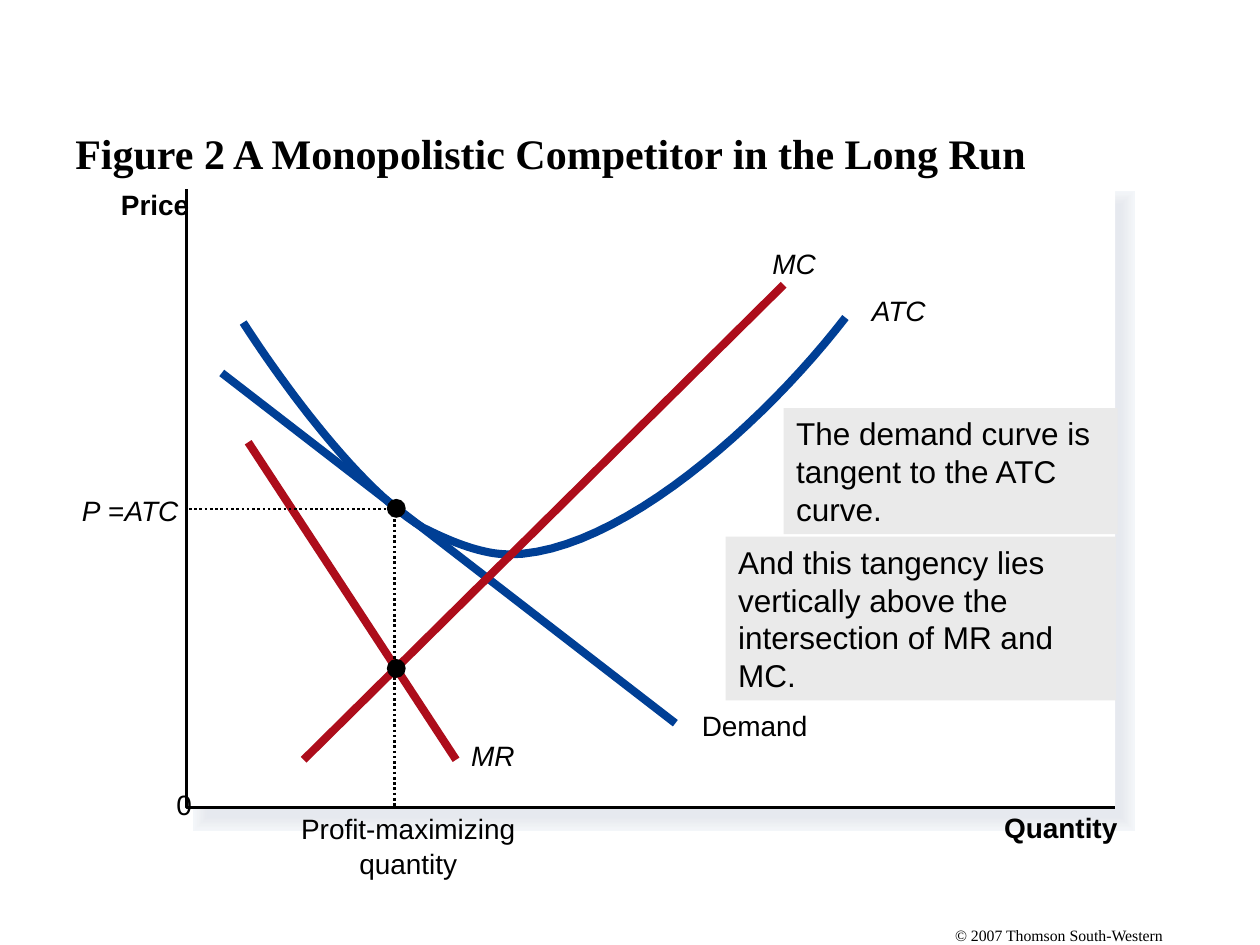
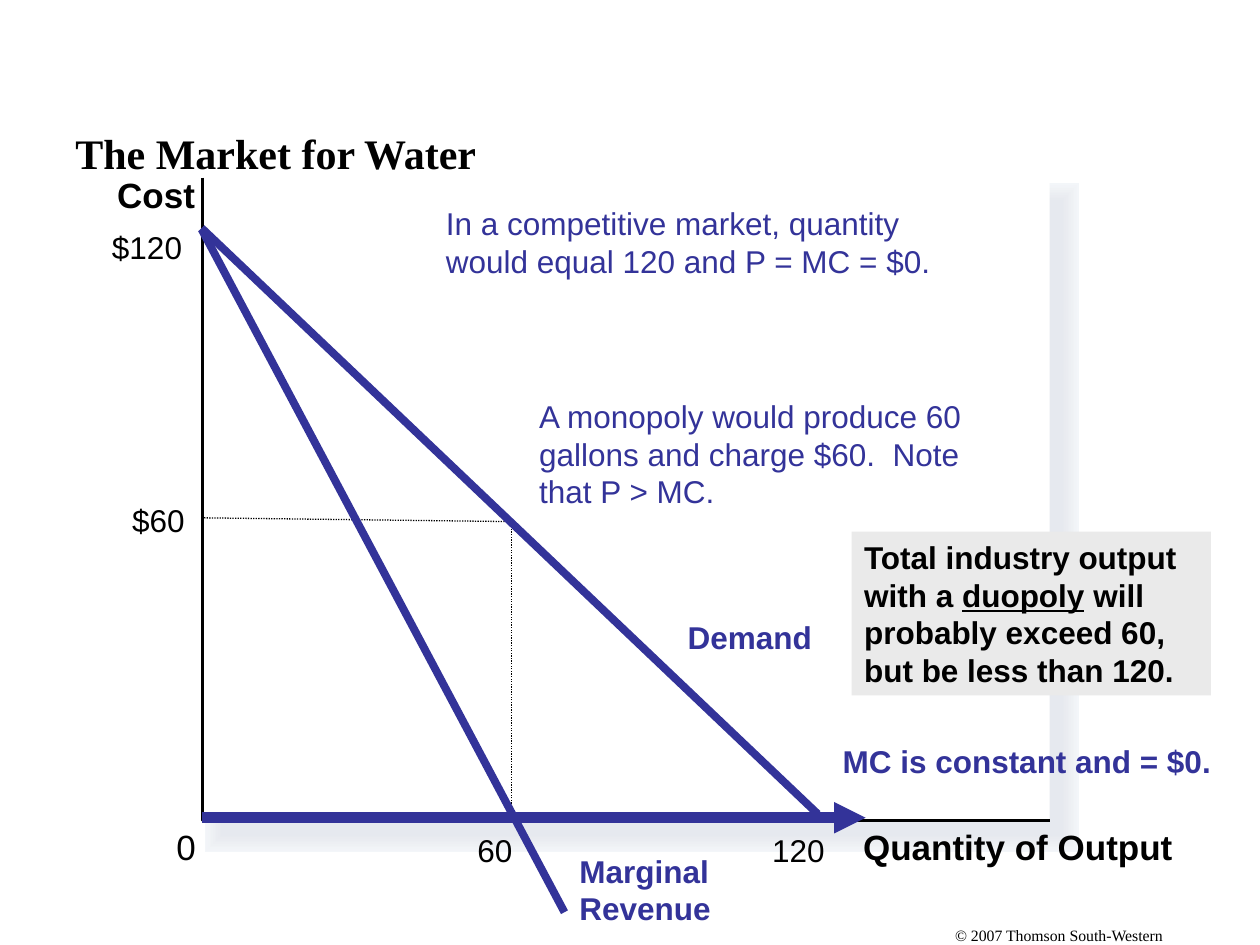
from collections import namedtuple

from lxml.etree import SubElement
from pptx import Presentation
from pptx.dml.color import RGBColor as RGB
from pptx.enum.dml import MSO_LINE as Dash
from pptx.enum.shapes import MSO_CONNECTOR as Connector, MSO_SHAPE as Shape
from pptx.enum.text import MSO_ANCHOR as Anchor, PP_ALIGN as Align
from pptx.oxml.ns import qn
from pptx.util import Inches, Pt

BLACK = RGB(0x00, 0x00, 0x00)
WHITE = RGB(0xFF, 0xFF, 0xFF)
BLUE = RGB(0x00, 0x3F, 0x95)
RED = RGB(0xAD, 0x0D, 0x1B)
INDIGO = RGB(0x33, 0x33, 0x99)
NOTE_GREY = RGB(0xEA, 0xEA, 0xEA)
# Outermost to innermost layer of the soft shadow behind a graph
SHADOW_SHADES = [RGB.from_string(shade) for shade in (
    "F3F6F9 F2F4F8 F1F4F7 F0F2F5 EEF1F4 EDEFF3 "
    "EBEEF2 EAECF1 E9EBF0 E7EAEF E6E9EF").split()]

SANS, SERIF = "Arial", "Times New Roman"
CURVE_STEPS = 24

# All areas and points are in inches, relative to the box they belong to
Box = namedtuple("Box", "left top width height")
PAGE = Box(0, 0, 10, 7.5)


def place(box, x, y):
    return Inches(box.left + x), Inches(box.top + y)


def frame(box, area):
    x, y, width, height = area
    return (*place(box, x, y), Inches(width), Inches(height))


# Text

def write(shape, paragraphs, wrap, inset, align, anchor, color, gap, **font):
    """Each paragraph is a string or a list of (text, run format) pairs."""
    text = shape.text_frame
    settings = {"word_wrap": wrap, "vertical_anchor": anchor}
    if not inset:
        settings |= dict.fromkeys(
            ("margin_left", "margin_top", "margin_right", "margin_bottom"), 0)
    for name, value in settings.items():
        setattr(text, name, value)
    for index, content in enumerate(paragraphs):
        paragraph = text.add_paragraph() if index else text.paragraphs[0]
        paragraph.alignment = align
        if index:
            paragraph.space_before = Pt(gap)
        runs = [(content, {})] if isinstance(content, str) else content
        for words, changes in runs:
            run = paragraph.add_run()
            run.text = words
            run.font.color.rgb = color
            for name, value in (font | changes).items():
                setattr(run.font, name, value)


def label(slide, box, area, *paragraphs, wrap=False, align=Align.LEFT,
          anchor=Anchor.TOP, color=BLACK, gap=0, size=16, name=SANS, **font):
    words = slide.shapes.add_textbox(*frame(box, area))
    write(words, paragraphs, wrap, wrap, align, anchor, color, gap,
          size=Pt(size), name=name, **font)


def note(slide, box, area, *paragraphs, **font):
    panel = filled(slide, Shape.RECTANGLE, box, area, NOTE_GREY)
    write(panel, paragraphs, True, True, Align.LEFT, Anchor.TOP, BLACK, 0,
          size=Pt(18), name=SANS, **font)


# Shapes and lines

def filled(slide, kind, box, area, color, border=0):
    shape = slide.shapes.add_shape(kind, *frame(box, area))
    shape.shadow.inherit = False
    shape.fill.solid()
    shape.fill.fore_color.rgb = color
    if border:
        stroke(shape, color, border)
        SubElement(shape.line._get_or_add_ln(), qn("a:miter"), lim="800000")
    else:
        shape.line.fill.background()
    return shape


def stroke(shape, color, width, dash=None):
    shape.line.color.rgb = color
    shape.line.width = Pt(width)
    if dash:
        shape.line.dash_style = dash


def segment(slide, box, start, end, color, width, dash=None, arrow=False):
    line = slide.shapes.add_connector(
        Connector.STRAIGHT, *place(box, *start), *place(box, *end))
    stroke(line, color, width, dash)
    if arrow:
        SubElement(line.line._get_or_add_ln(), qn("a:tailEnd"), type="triangle")
    SubElement(line._element.spPr, qn("a:effectLst"))


def polyline(slide, box, points, color, width, dash=None):
    start, *others = [place(box, *point) for point in points]
    builder = slide.shapes.build_freeform(*start)
    builder.add_line_segments(others, close=False)
    outline = builder.convert_to_shape()
    outline.shadow.inherit = False
    outline.fill.background()
    stroke(outline, color, width, dash)


def bezier_points(knots):
    """Sample a chain of cubic curves: a start, then three knots per curve."""
    points = [knots[0]]
    for first in range(0, len(knots) - 1, 3):
        curve = knots[first:first + 4]
        for step in range(1, CURVE_STEPS + 1):
            t = step / CURVE_STEPS
            weights = ((1 - t) ** 3, 3 * t * (1 - t) ** 2,
                       3 * t ** 2 * (1 - t), t ** 3)
            points.append(tuple(
                sum(w * knot[axis] for w, knot in zip(weights, curve))
                for axis in (0, 1)))
    return points


# Shared slide parts

def titled_slide(deck, title):
    slide = deck.slides.add_slide(deck.slide_layouts[6])
    label(slide, PAGE, (7.58, 7.35, 1.7, 0.15),
          "© 2007 Thomson South-Western", size=9, name=SERIF)
    label(slide, PAGE, (0.5, 0.58, 9, 1.26), title, wrap=True,
          anchor=Anchor.MIDDLE, size=24, name=SERIF, bold=True)
    return slide


def plot_area(slide, box, shadow, shadow_step, axis_width):
    """White plot with a layered shadow and an L of two axes."""
    for index, shade in enumerate(SHADOW_SHADES):
        border = shadow_step * (len(SHADOW_SHADES) - index)
        filled(slide, Shape.RECTANGLE, box, shadow, shade, border)
    filled(slide, Shape.RECTANGLE, box, (0, 0, box.width, box.height), WHITE)
    axes = [(0, 0), (0, box.height), (box.width, box.height)]
    polyline(slide, box, axes, BLACK, axis_width)


# Slide 1: monopolistic competitor

def competitor_curves(slide, box):
    segment(slide, box, (0.28, 1.46), (3.88, 4.24), BLUE, 4.62)
    segment(slide, box, (0.49, 2.01), (2.14, 4.53), RED, 4.62)
    atc_knots = [(5.23, 1.02), (4.6, 1.84), (3.43, 2.9), (2.56, 2.9),
                 (2.27, 2.9), (1.93, 2.71), (1.88, 2.69),
                 (1.38, 2.39), (0.78, 1.57), (0.45, 1.06)]
    polyline(slide, box, bezier_points(atc_knots), BLUE, 4.62)
    segment(slide, box, (4.74, 0.76), (0.93, 4.53), RED, 4.62)
    label(slide, box, (4.09, 4.12, 0.9, 0.27), "Demand")
    for name, x, y, width in (("MR", 2.26, 4.36, 0.4),
                              ("ATC", 5.44, 0.83, 0.5),
                              ("MC", 4.65, 0.46, 0.4)):
        label(slide, box, (x, y, width, 0.27), name, italic=True)


def competitor_optimum(slide, box):
    guide = [(0.02, 2.54), (1.65, 2.54), (1.65, box.height)]
    polyline(slide, box, guide, BLACK, 1.5, Dash.ROUND_DOT)
    for y in (2.46, 3.73):
        filled(slide, Shape.OVAL, box, (1.59, y, 0.15, 0.15), BLACK)
    label(slide, box, (0.86, 4.94, 1.8, 0.55), "Profit-maximizing", "quantity",
          align=Align.CENTER, gap=1)
    label(slide, box, (-0.83, 2.42, 0.83, 0.27),
          [("P", {"italic": True}), (" =", {}), ("ATC", {"italic": True})])


def competitor_slide(deck):
    slide = titled_slide(
        deck, "Figure 2 A Monopolistic Competitor in the Long Run")
    box = Box(1.48, 1.5, 7.37, 4.91)
    plot_area(slide, box, (0.17, 0.13, 7.24, 4.85), 1.52, 1.5)
    label(slide, box, (6.49, 4.93, 1, 0.27), "Quantity", bold=True)
    label(slide, box, (-0.52, -0.01, 0.65, 0.27), "Price", bold=True)
    label(slide, box, (-0.08, 4.75, 0.16, 0.27), "0")
    competitor_curves(slide, box)
    competitor_optimum(slide, box)
    note(slide, box, (4.74, 1.74, 2.65, 1),
         "The demand curve is tangent to the ATC curve.")
    note(slide, box, (4.28, 2.76, 3.1, 1.3),
         "And this tangency lies vertically above the intersection "
         "of MR and MC.")


# Slide 2: market for water

def water_axis_labels(slide, box):
    for words, x, y, width, bold in (
            ("Quantity of Output", 5.24, 5.14, 2.55, True),
            ("0", -0.21, 5.14, 0.2, False),
            ("Cost", -0.68, -0.03, 0.7, True)):
        label(slide, box, (x, y, width, 0.33), words, size=20, bold=bold)
    for tick, x, y, width in (("$120", -0.82, 0.35, 0.89),
                              ("$60", -0.66, 2.52, 0.89),
                              ("60", 2.08, 5.14, 0.62),
                              ("120", 4.42, 5.14, 0.89)):
        label(slide, box, (x, y, width, 0.4), tick, wrap=True, size=18)


def water_lines(slide, box):
    monopoly = (2.45, 2.73)
    for axis_point in ((2.45, 5.05), (0.01, 2.7)):
        segment(slide, box, axis_point, monopoly, BLACK, 0.75, Dash.ROUND_DOT)
    segment(slide, box, (-0.01, 5.08), (5.26, 5.08), INDIGO, 6, arrow=True)
    segment(slide, box, (-0.01, 0.4), (4.88, 5.05), INDIGO, 4.5)
    segment(slide, box, (-0.01, 0.41), (2.87, 5.83), INDIGO, 4.5)


def water_remarks(slide, box):
    for words, area, bold in (
            ("MC is constant and = $0.", (4.98, 4.43, 3.13, 0.4), True),
            ("Demand", (3.75, 3.45, 1.48, 0.4), True),
            ("Marginal Revenue", (2.89, 5.3, 1.48, 0.7), True),
            ("In a competitive market, quantity would equal 120 "
             "and P = MC = $0.", (1.83, 0.16, 4.32, 0.7), False),
            ("A monopoly would produce 60 gallons and charge $60.  Note "
             "that P > MC.", (2.57, 1.69, 3.89, 1), False)):
        label(slide, box, area, words, wrap=True, color=INDIGO, size=18,
              bold=bold)
    note(slide, box, (5.15, 2.81, 2.85, 1.3),
         [("Total industry output with a ", {}),
          ("duopoly", {"underline": True}),
          (" will probably exceed 60, but be less than 120.", {})], bold=True)


def water_slide(deck):
    slide = titled_slide(deck, "The Market for Water")
    box = Box(1.61, 1.41, 6.72, 5.1)
    plot_area(slide, box, (0.16, 0.19, 6.65, 5.02), 1.9, 1.87)
    water_axis_labels(slide, box)
    water_lines(slide, box)
    water_remarks(slide, box)


def main():
    deck = Presentation()
    deck.slide_width, deck.slide_height = Inches(PAGE.width), Inches(PAGE.height)
    competitor_slide(deck)
    water_slide(deck)
    deck.save("out.pptx")


if __name__ == "__main__":
    main()
